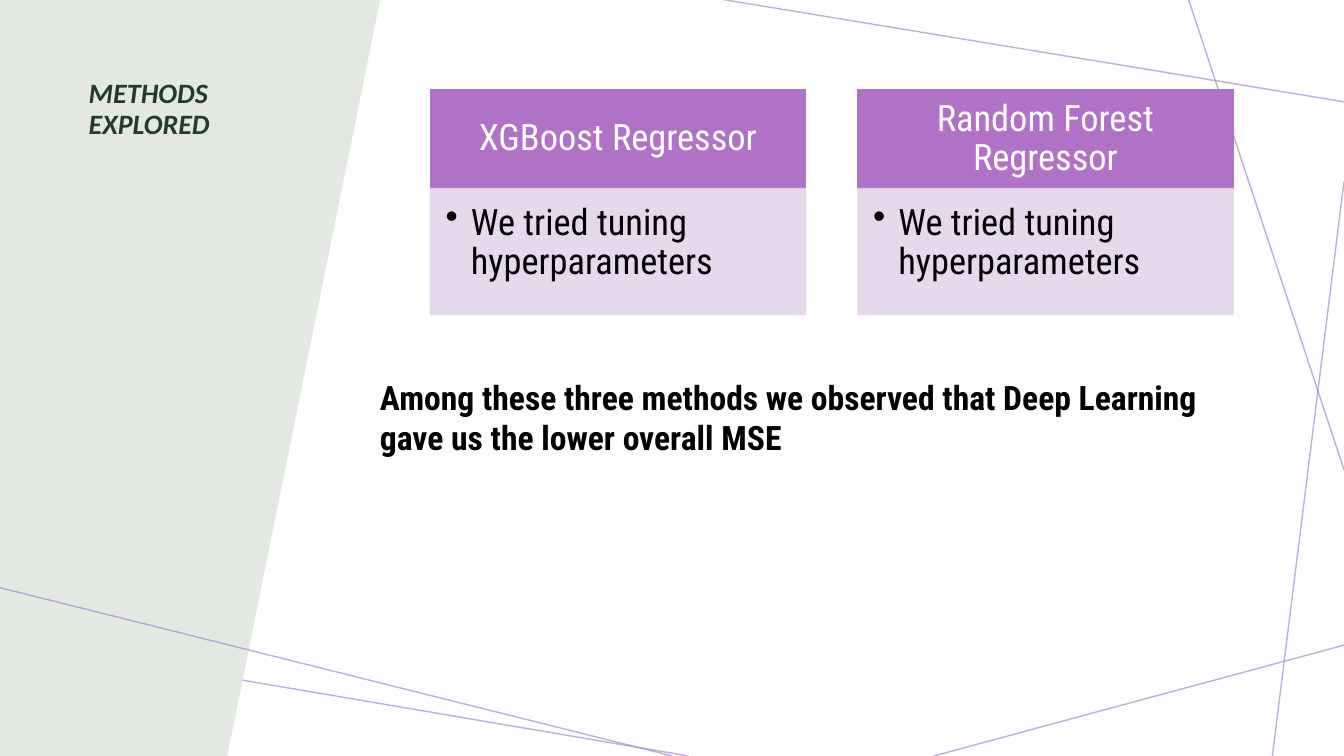
from typing import NamedTuple

from lxml.etree import SubElement
from pptx import Presentation
from pptx.dml.color import RGBColor
from pptx.enum.shapes import MSO_CONNECTOR, MSO_SHAPE
from pptx.enum.text import MSO_ANCHOR as ANCHOR, PP_ALIGN as ALIGN
from pptx.oxml.ns import qn
from pptx.util import Pt

PX = 9144

LINE = RGBColor(0xA2, 0x8C, 0xD0)
PANEL = RGBColor(0xE4, 0xE8, 0xE2)
TITLE = RGBColor(0x22, 0x3C, 0x29)
HEADER = RGBColor(0xB0, 0x72, 0xC6)
BODY = RGBColor(0xE4, 0xD5, 0xEA)
WHITE = RGBColor(0xFF, 0xFF, 0xFF)
BLACK = RGBColor(0x00, 0x00, 0x00)

FONT = "Roboto Condensed"
CARD_LEFT, CARD_STEP, CARD_WIDTH = 427, 424, 372


class Stroke(NamedTuple):
    x1: int
    y1: int
    x2: int
    y2: int


class Card(NamedTuple):
    heading: str
    detail: str


BACK_STROKES = [
    Stroke(341, 0, 0, 75),
    Stroke(683, 750, -5, 633),
    Stroke(1333, 640, 926, 750),
    Stroke(1333, 180, 1262, 750),
    Stroke(1333, 466, 1179, 0),
    Stroke(1333, 101, 714, -1),
]
FRONT_STROKE = Stroke(667, 750, 0, 583)
PANEL_OUTLINE = [(225, 752), (0, 756), (0, -2), (377, 0)]
CARDS = [
    Card("XGBoost Regressor", "We tried tuning hyperparameters"),
    Card("Random Forest Regressor", "We tried tuning hyperparameters"),
]


def set_alpha(sp, percent: int) -> None:
    for clr in sp.element.spPr.iter(qn("a:srgbClr")):
        SubElement(clr, qn("a:alpha")).set("val", str(percent * 1000))


def write(sp, text: str, *, size: int, color: RGBColor, font: str = FONT,
          bold: bool = False, italic: bool = False, align=ALIGN.LEFT,
          anchor=ANCHOR.TOP, spacing: float = 1.0,
          insets: tuple = (10, 5, 10, 5), bullet: bool = False) -> None:
    tf = sp.text_frame
    tf.word_wrap = True
    tf.vertical_anchor = anchor
    tf.margin_left, tf.margin_top, tf.margin_right, tf.margin_bottom = (
        n * PX for n in insets)
    p = tf.paragraphs[0]
    p.alignment = align
    p.line_spacing = spacing
    if bullet:
        ppr = p._p.get_or_add_pPr()
        ppr.set("marL", str(25 * PX))
        ppr.set("indent", str(-25 * PX))
        SubElement(ppr, qn("a:buChar")).set("char", "•")
    r = p.add_run()
    r.text = text
    r.font.name = font
    r.font.size = Pt(size)
    r.font.bold = bold
    r.font.italic = italic
    r.font.color.rgb = color


def add_stroke(s, stroke: Stroke) -> None:
    line = s.shapes.add_connector(MSO_CONNECTOR.STRAIGHT, *(n * PX for n in stroke))
    line.line.color.rgb = LINE
    line.line.width = Pt(1)
    set_alpha(line, 70)
    SubElement(line.element.spPr, qn("a:effectLst"))


def add_panel(s) -> None:
    start, *rest = PANEL_OUTLINE
    builder = s.shapes.build_freeform(*start, scale=PX)
    builder.add_line_segments(rest, close=True)
    sp = builder.convert_to_shape()
    sp.shadow.inherit = False
    sp.fill.solid()
    sp.fill.fore_color.rgb = PANEL
    sp.line.fill.background()


def add_title(s) -> None:
    sp = s.shapes.title
    sp.left, sp.top, sp.width, sp.height = (n * PX for n in (78, 74, 250, 178))
    write(sp, "METHODS EXPLORED", size=20, color=TITLE, font="Calibri",
          bold=True, italic=True, spacing=0.9)
    sp.element.getparent().append(sp.element)


def add_box(s, x: int, y: int, w: int, h: int, color: RGBColor):
    sp = s.shapes.add_shape(MSO_SHAPE.RECTANGLE, x * PX, y * PX, w * PX, h * PX)
    sp.shadow.inherit = False
    sp.fill.solid()
    sp.fill.fore_color.rgb = color
    sp.line.color.rgb = color
    sp.line.width = Pt(1)
    return sp


def add_card(s, x: int, card: Card) -> None:
    header = add_box(s, x, 89, CARD_WIDTH, 98, HEADER)
    write(header, card.heading, size=26, color=WHITE, align=ALIGN.CENTER,
          anchor=ANCHOR.MIDDLE, spacing=0.9, insets=(20, 12, 20, 12))
    body = add_box(s, x, 187, CARD_WIDTH, 125, BODY)
    set_alpha(body, 90)
    write(body, card.detail, size=26, color=BLACK, spacing=0.9,
          insets=(15, 15, 20, 23), bullet=True)


def main() -> None:
    prs = Presentation()
    prs.slide_width, prs.slide_height = 1333 * PX, 750 * PX
    s = prs.slides.add_slide(prs.slide_layouts[5])
    for stroke in BACK_STROKES:
        add_stroke(s, stroke)
    add_panel(s)
    add_title(s)
    add_stroke(s, FRONT_STROKE)
    for i, card in enumerate(CARDS):
        add_card(s, CARD_LEFT + i * CARD_STEP, card)
    summary = s.shapes.add_textbox(*(n * PX for n in (367, 369, 871, 121)))
    write(summary, "Among these three methods we observed that Deep Learning "
          "gave us the lower overall MSE", size=24, color=BLACK, bold=True)
    prs.save("out.pptx")


if __name__ == "__main__":
    main()
